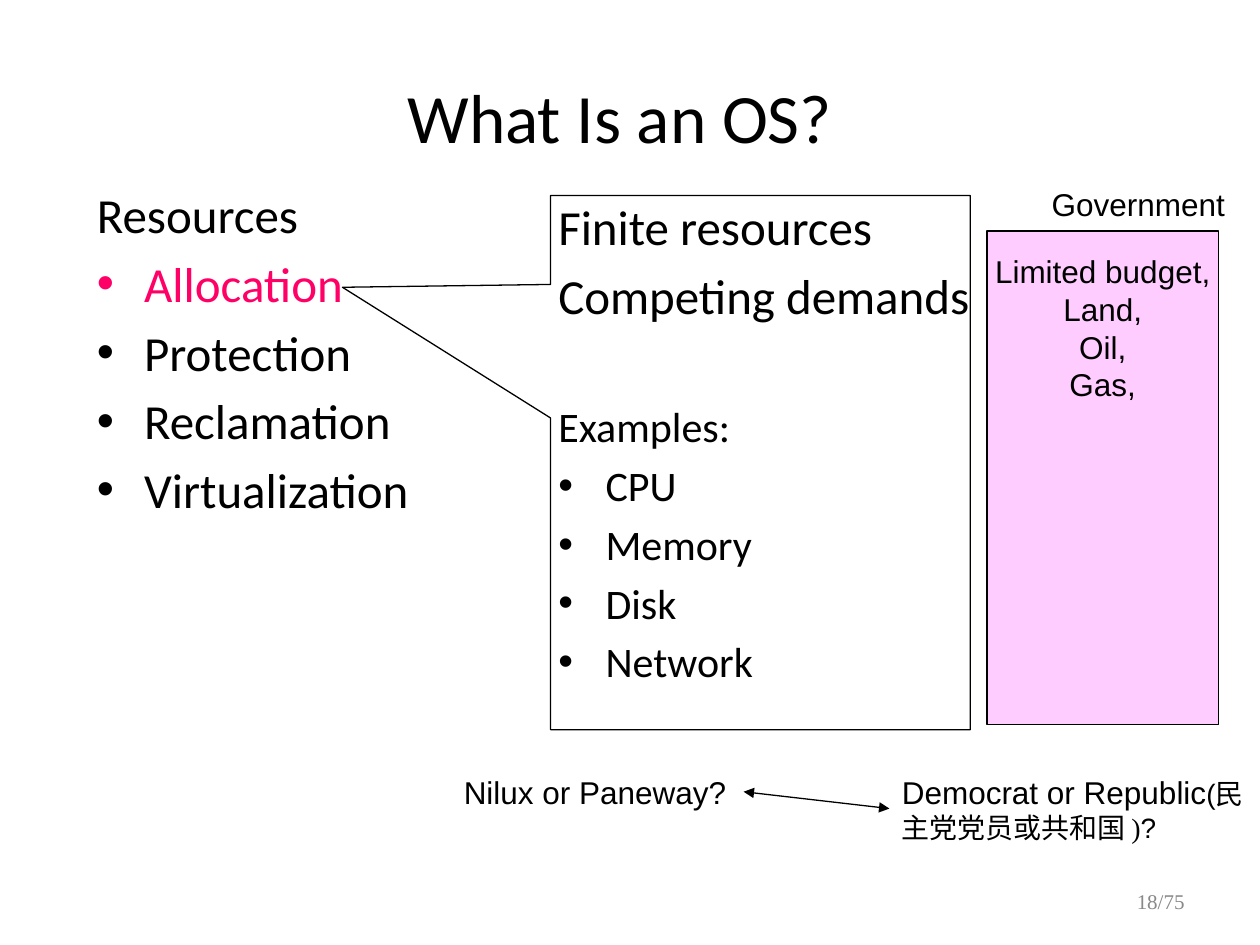
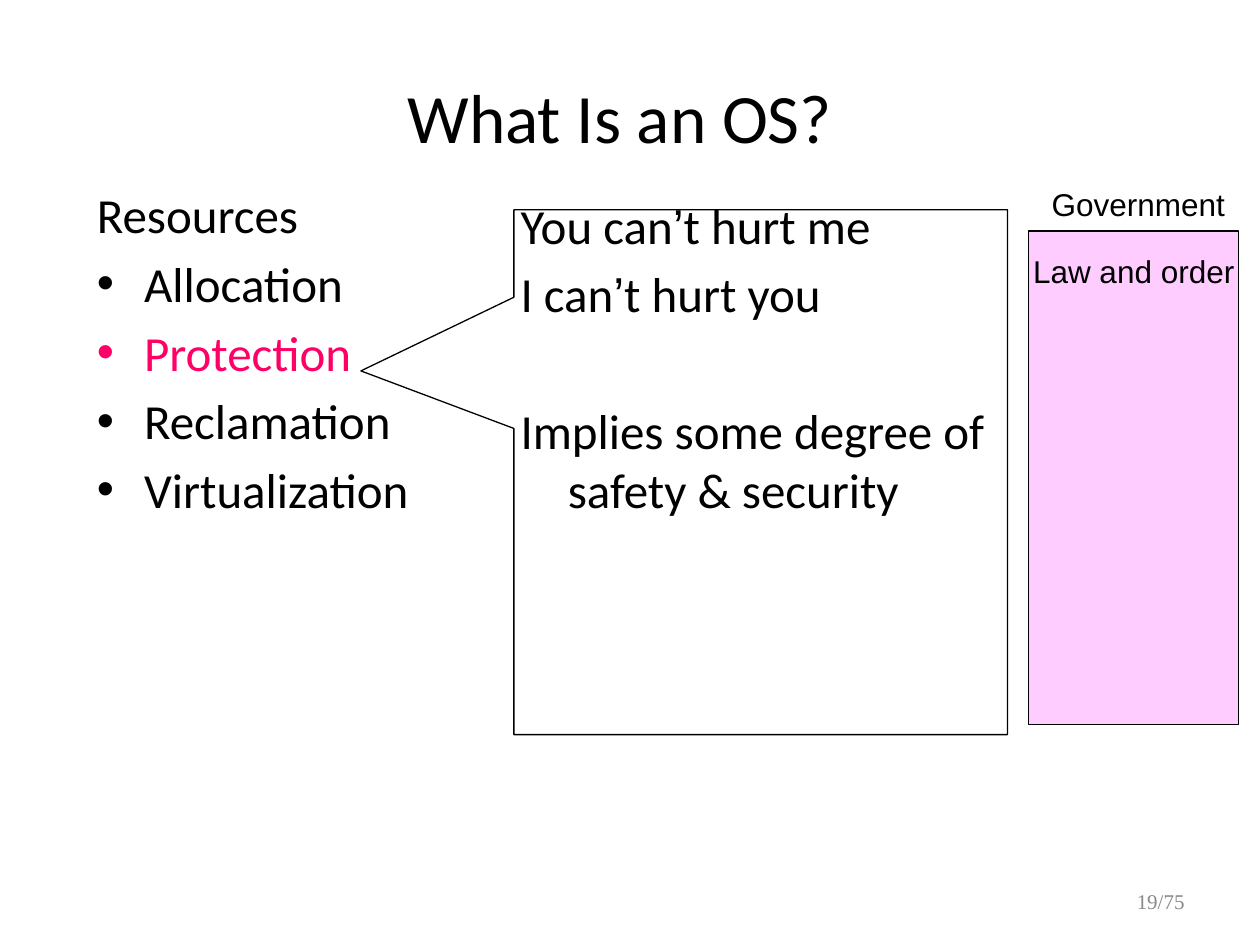
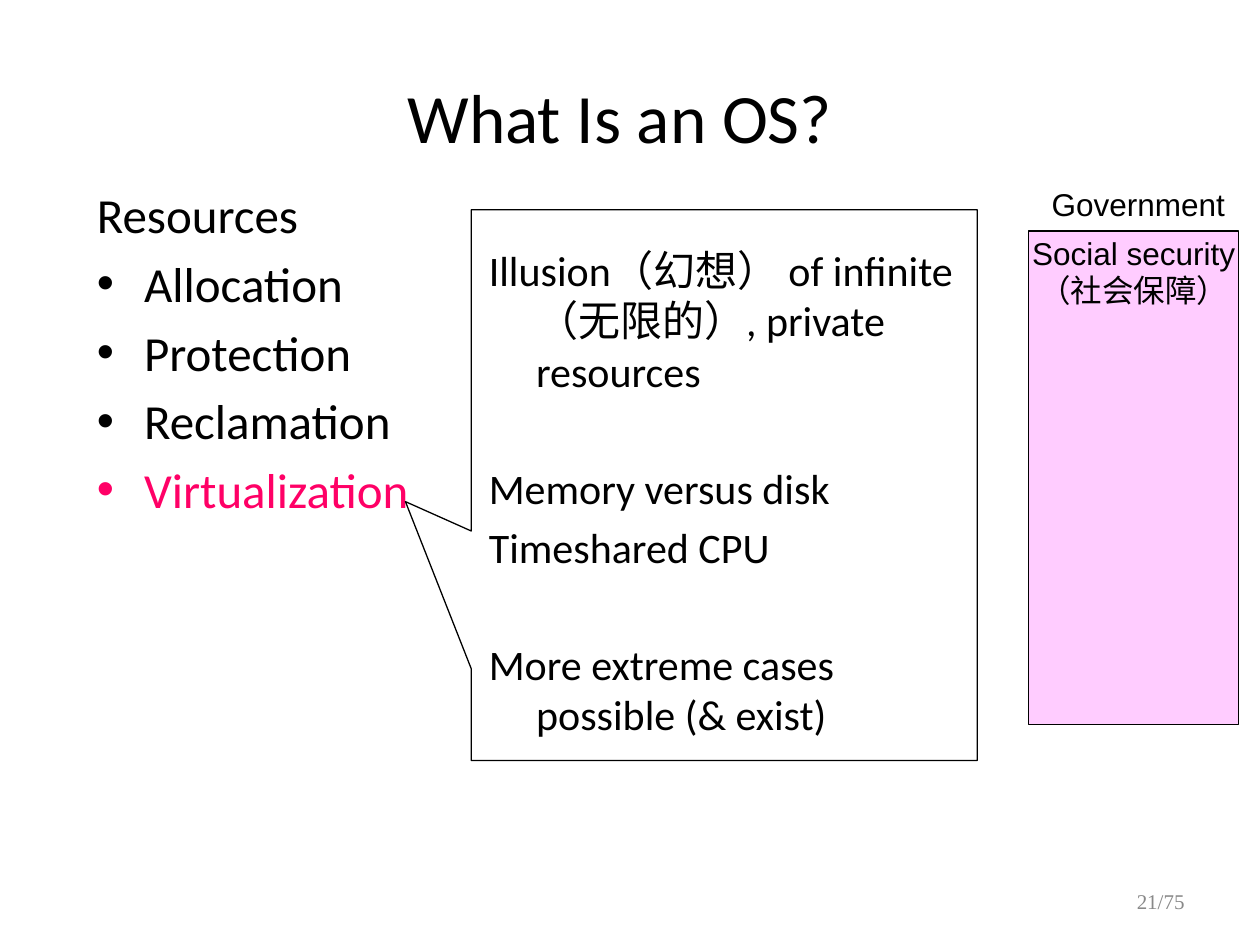
"""Build three slides that liken an operating system to a government."""
import dataclasses
import typing

import lxml.etree
import pptx
import pptx.dml.color
import pptx.enum.dml
import pptx.enum.shapes
import pptx.enum.text
import pptx.oxml.ns
import pptx.util

Cm = pptx.util.Cm
Pt = pptx.util.Pt
RGB = pptx.dml.color.RGBColor
Align = pptx.enum.text.PP_ALIGN
Anchor = pptx.enum.text.MSO_ANCHOR
Shape = pptx.enum.shapes.MSO_SHAPE


@dataclasses.dataclass(frozen=True)
class Theme:
    """Hold the shared colours, fonts and type sizes."""
    ink: RGB = RGB(0x00, 0x00, 0x00)
    accent: RGB = RGB(0xFF, 0x00, 0x66)
    pink: RGB = RGB(0xFF, 0xCC, 0xFF)
    grey: RGB = RGB(0x89, 0x89, 0x89)
    main: str = "Calibri"
    label: str = "Arial"
    serif: str = "Times New Roman"
    title: float = 39.6
    list: float = 28
    small: float = 24
    note: float = 18
    aside: float = 16
    page: float = 12
    line: float = 0.75


THEME = Theme()


class Box(typing.NamedTuple):
    """Give a place and a size in centimetres."""
    left: float
    top: float
    width: float
    height: float

    def lengths(self) -> tuple:
        """Return the four values as lengths."""
        return tuple(Cm(side) for side in self)


class Line(typing.NamedTuple):
    """Describe one paragraph of a list."""
    text: str
    size: float = THEME.list
    bullet: bool = False
    gap: float = 0
    color: RGB = THEME.ink


class Span(typing.NamedTuple):
    """Describe one run of a label."""
    text: str
    size: float = THEME.note
    font: str = THEME.label
    color: RGB = THEME.ink


@dataclasses.dataclass(frozen=True)
class Topic:
    """Describe what one slide says about a resource task."""
    name: str
    page: str
    body: Box
    lines: list[Line]
    callout: Box
    tip: tuple[float, float]
    panel: Box
    inset: float
    duty: str


TITLE = Box(1.7, 1.5, 21.59, 1.68)
TASKS = Box(1.7, 3.6, 10.57, 9.78)
PAGE = Box(18.2, 17.65, 5.93, 1.02)
HEAD = Box(20.95, 3.6, 4.02, 1.02)
WIDE = Box(19.9, 4.66, 4.66, 9.95)
SLIM = Box(20.74, 4.66, 4.23, 9.95)
NAMES = ("Allocation", "Protection", "Reclamation", "Virtualization")

TOPICS = [
    Topic(
        "Allocation", "18/75", Box(11, 3.84, 10.36, 13.08),
        [Line("Finite resources"), Line("Competing demands"),
         Line("Examples:", THEME.small, gap=43.7)]
        + [Line(part, THEME.small, True)
           for part in ("CPU", "Memory", "Disk", "Network")],
        Box(11.1, 3.94, 8.46, 10.77), (-0.996, -0.328),
        WIDE, 0.42, "Limited budget,\nLand,\nOil,\nGas,",
    ),
    Topic(
        "Protection", "19/75", Box(10.24, 3.81, 10.57, 9.04),
        [Line("You can’t hurt me"), Line("I can’t hurt you"),
         Line("Implies some degree of safety & security", gap=44.4)],
        Box(10.36, 4.23, 9.95, 10.58), (-0.81, -0.193),
        SLIM, 0.42, "Law and order",
    ),
    Topic(
        "Virtualization", "21/75", Box(9.6, 4.8, 10.36, 12.12),
        [Line("Illusion（幻想） of infinite（无限的）, private resources", THEME.small),
         Line("Memory versus disk", THEME.small, gap=38.1),
         Line("Timeshared CPU", THEME.small),
         Line("More extreme cases possible (& exist)", THEME.small, gap=38.1)],
        Box(9.5, 4.23, 10.2, 11.1), (-0.63, 0.03),
        SLIM, 0.05, "Social security\n（社会保障）",
    ),
]


def style(run, span: Span) -> None:
    """Apply the look of a span to a run."""
    run.font.size = Pt(span.size)
    run.font.name = span.font
    run.font.color.rgb = span.color


def add_spans(para, spans: list[Span]) -> None:
    """Add styled runs to a paragraph."""
    for span in spans:
        run = para.add_run()
        run.text = span.text
        style(run, span)


def place(shape, box: Box) -> None:
    """Move a shape to a box."""
    shape.left, shape.top, shape.width, shape.height = box.lengths()


def fill_list(holder, box: Box, lines: list[Line]) -> None:
    """Fill a body placeholder with lines."""
    place(holder, box)
    frame = holder.text_frame
    frame.auto_size = pptx.enum.text.MSO_AUTO_SIZE.NONE
    for index, line in enumerate(lines):
        para = frame.add_paragraph() if index else frame.paragraphs[0]
        if line.gap:
            para.space_before = Pt(line.gap)
        if not line.bullet:
            props = para._p.get_or_add_pPr()
            lxml.etree.SubElement(props, pptx.oxml.ns.qn("a:buNone"))
        parts = [part for part in line.text.partition("’") if part]
        add_spans(para, [
            Span(part, line.size, THEME.label if part == "’" else THEME.main,
                 line.color)
            for part in parts])


def add_label(slide, box: Box, spans: list[Span], wrap: bool = False):
    """Add a text box and return it."""
    label = slide.shapes.add_textbox(*box.lengths())
    label.text_frame.word_wrap = wrap
    add_spans(label.text_frame.paragraphs[0], spans)
    return label


def add_shape(slide, kind: Shape, box: Box):
    """Add an outlined shape without fill or shadow."""
    shape = slide.shapes.add_shape(kind, *box.lengths())
    shape.shadow.inherit = False
    shape.fill.background()
    shape.line.color.rgb = THEME.ink
    shape.line.width = Pt(THEME.line)
    return shape


def add_panel(slide, topic: Topic) -> None:
    """Add the pink panel with the duty of a government."""
    panel = add_shape(slide, Shape.RECTANGLE, topic.panel)
    panel.fill.solid()
    panel.fill.fore_color.rgb = THEME.pink
    frame = panel.text_frame
    frame.word_wrap = False
    frame.vertical_anchor = Anchor.TOP
    frame.margin_top = Cm(topic.inset)
    frame.text = topic.duty
    for para in frame.paragraphs:
        para.alignment = Align.CENTER
        for run in para.runs:
            style(run, Span(run.text))


def add_arrow(slide, start: tuple[float, float], end: tuple[float, float]) -> None:
    """Add a line with a head at both ends."""
    arrow = slide.shapes.add_connector(
        pptx.enum.shapes.MSO_CONNECTOR.STRAIGHT,
        *(Cm(side) for side in start + end))
    arrow.line.color.rgb = THEME.ink
    arrow.line.width = Pt(THEME.line)
    qn = pptx.oxml.ns.qn
    stroke = arrow.line._get_or_add_ln()
    for name in ("a:headEnd", "a:tailEnd"):
        lxml.etree.SubElement(stroke, qn(name), type="triangle")
    lxml.etree.SubElement(arrow._element.spPr, qn("a:effectLst"))


def add_topic(deck, topic: Topic):
    """Add the slide of a topic and return it."""
    slide = deck.slides.add_slide(deck.slide_layouts[3])
    title, tasks, body = slide.placeholders
    place(title, TITLE)
    frame = title.text_frame
    frame.text = "What Is an OS?"
    frame.auto_size = pptx.enum.text.MSO_AUTO_SIZE.NONE
    frame.vertical_anchor = Anchor.MIDDLE
    frame.paragraphs[0].alignment = Align.CENTER
    style(frame.paragraphs[0].runs[0], Span("", THEME.title, THEME.main))
    fill_list(tasks, TASKS, [Line("Resources")] + [
        Line(name, bullet=True,
             color=THEME.accent if name == topic.name else THEME.ink)
        for name in NAMES])
    fill_list(body, topic.body, topic.lines)
    page = add_label(
        slide, PAGE, [Span(topic.page, THEME.page, THEME.serif, THEME.grey)], True)
    page.text_frame.vertical_anchor = Anchor.MIDDLE
    page.text_frame.paragraphs[0].alignment = Align.RIGHT
    callout = add_shape(slide, Shape.RECTANGULAR_CALLOUT, topic.callout)
    callout.adjustments[0], callout.adjustments[1] = topic.tip
    add_panel(slide, topic)
    add_label(slide, HEAD, [Span("Government")])
    return slide


def add_choice(slide) -> None:
    """Add the pair of questions joined by an arrow."""
    add_label(slide, Box(9.1, 15.45, 5.86, 1.02), [Span("Nilux or Paneway?")])
    add_label(slide, Box(17.93, 15.45, 7.47, 1.7), [
        Span("Democrat or Republic"),
        Span("(", THEME.aside),
        Span("民主党党员或共和国 )", THEME.aside, THEME.serif),
        Span("?", THEME.aside)], True)
    add_arrow(slide, (14.99, 15.96), (17.93, 16.3))


def main() -> None:
    """Build and save the deck."""
    deck = pptx.Presentation()
    deck.slide_width, deck.slide_height = Cm(25.4), Cm(19.05)
    slides = [add_topic(deck, topic) for topic in TOPICS]
    add_choice(slides[0])
    deck.save("out.pptx")


if __name__ == "__main__":
    main()
